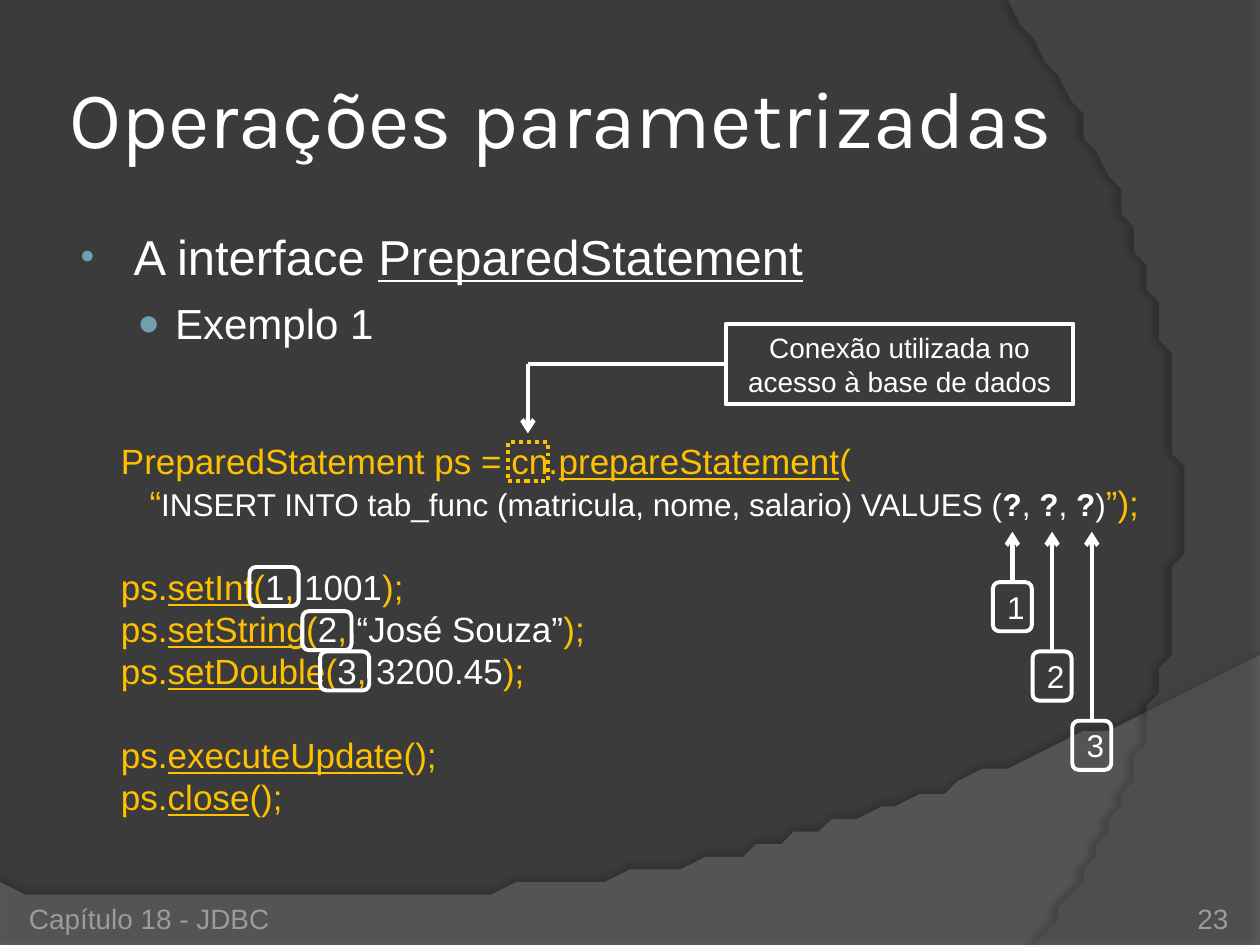
from collections import namedtuple

from lxml.etree import SubElement
from pptx import Presentation
from pptx.dml.color import RGBColor
from pptx.enum.dml import MSO_LINE_DASH_STYLE as DASH
from pptx.enum.shapes import MSO_CONNECTOR_TYPE as CONNECTOR, MSO_SHAPE as SHAPE
from pptx.enum.text import MSO_ANCHOR as ANCHOR, MSO_AUTO_SIZE as AUTO_SIZE, PP_ALIGN as ALIGN
from pptx.oxml.ns import qn
from pptx.util import Inches, Pt

WHITE = RGBColor(0xFF, 0xFF, 0xFF)
AMBER = RGBColor(0xFF, 0xC0, 0x00)
GRAY = RGBColor(0x9D, 0x9B, 0x9A)
BLUE = RGBColor(0x6E, 0xA0, 0xB0)
BACKGROUND = RGBColor(0x3B, 0x3B, 0x3B)
WAVE = RGBColor(0x7F, 0x7F, 0x7F)
ARC = RGBColor(0x5E, 0x5E, 0x5E)
BLACK = RGBColor(0, 0, 0)

COLUMNS, ROWS = 100, 75
CELL = Inches(0.1)
Box = namedtuple("Box", "left top width height")
Run = namedtuple("Run", "text color size underline bold", defaults=(AMBER, 20, False, False))


def cells(*counts):
    """Turn counts of grid cells into lengths."""
    return [round(count * CELL) for count in counts]


def place(shape, box):
    """Put a shape on its grid box."""
    shape.left, shape.top, shape.width, shape.height = cells(*box)


def style(font, size, color, name="Arial"):
    """Set the size, colour and typeface of a font."""
    font.size, font.name, font.color.rgb = Pt(size), name, color


def write(paragraph, runs):
    """Add formatted runs to a paragraph."""
    for item in runs:
        run = paragraph.add_run()
        run.text = item.text
        style(run.font, item.size, item.color)
        run.font.underline, run.font.bold = item.underline, item.bold


def set_indent(paragraph, margin, indent):
    """Set the left margin and first-line indent in inches."""
    properties = paragraph._p.get_or_add_pPr()
    properties.set("marL", str(Inches(margin)))
    properties.set("indent", str(Inches(indent)))
    return properties


def set_bullet(paragraph, character, percent, margin, indent):
    """Give a paragraph a coloured bullet with a hanging indent."""
    properties = set_indent(paragraph, margin, indent)
    color = SubElement(properties, qn("a:buClr"))
    SubElement(color, qn("a:srgbClr"), val=str(BLUE))
    SubElement(properties, qn("a:buSzPct"), val=str(percent * 1000))
    SubElement(properties, qn("a:buFont"), typeface="Arial")
    SubElement(properties, qn("a:buChar"), char=character)


def bezier(start, first, second, end, steps=60):
    """Return points along a cubic curve, after its start."""
    points = []
    for step in range(1, steps + 1):
        t = step / steps
        weights = ((1 - t) ** 3, 3 * t * (1 - t) ** 2, 3 * t * t * (1 - t), t ** 3)
        points.append(tuple(
            sum(weight * value for weight, value in zip(weights, values))
            for values in zip(start, first, second, end)))
    return points


def add_backdrop(slide, points, color, opacity, shadow_opacity, distance, angle):
    """Draw a translucent shape with a soft shadow behind the text."""
    builder = slide.shapes.build_freeform(*points[0], scale=CELL)
    builder.add_line_segments(points[1:])
    shape = builder.convert_to_shape()
    shape.line.fill.background()
    shape.fill.solid()
    shape.fill.fore_color.rgb = color
    fill_color = shape._element.spPr.find(qn("a:solidFill")).find(qn("a:srgbClr"))
    SubElement(fill_color, qn("a:alpha"), val=str(opacity * 1000))
    effects = SubElement(shape._element.spPr, qn("a:effectLst"))
    shadow = SubElement(effects, qn("a:outerShdw"), blurRad=str(Pt(4)),
                        dist=str(Pt(distance)), dir=str(angle * 60000))
    shadow_color = SubElement(shadow, qn("a:srgbClr"), val=str(BLACK))
    SubElement(shadow_color, qn("a:alpha"), val=str(shadow_opacity * 1000))
    return shape


def add_background(slide):
    """Fill the slide and lay the wave and the arc at the back."""
    slide.background.fill.solid()
    slide.background.fill.fore_color.rgb = BACKGROUND
    wave = [(0, 70.5), (0, ROWS), (COLUMNS, ROWS), (COLUMNS, 52)]
    wave += bezier(wave[-1], (55.9, 72.9), (39.1, 71.9), wave[0])
    arc = [(COLUMNS, 0.2), (COLUMNS, ROWS), (82.1, ROWS)]
    arc += bezier(arc[-1], (93.5, 61.9), (101.8, 30), (80, 0))
    backdrops = (add_backdrop(slide, wave, WAVE, 45, 35, 3.5, 270),
                 add_backdrop(slide, arc, ARC, 40, 45, 4, 180))
    for index, shape in enumerate(backdrops, start=2):
        slide.shapes._spTree.insert(index, shape._element)


def fill_title(placeholder, box, text):
    """Write the slide title."""
    place(placeholder, box)
    frame = placeholder.text_frame
    frame.text, frame.auto_size, frame.vertical_anchor = text, AUTO_SIZE.NONE, ANCHOR.MIDDLE
    frame.margin_left = frame.margin_right = Inches(0.05)
    frame.paragraphs[0].alignment = ALIGN.LEFT
    style(frame.paragraphs[0].runs[0].font, 46, WHITE, "Karla")


def fill_topics(placeholder, box):
    """Write the two-level list."""
    place(placeholder, box)
    frame = placeholder.text_frame
    frame.auto_size = AUTO_SIZE.NONE
    topic, example = frame.paragraphs[0], frame.add_paragraph()
    write(topic, [Run("A interface ", WHITE, 28), Run("PreparedStatement", WHITE, 28, True)])
    write(example, [Run("Exemplo 1", WHITE, 24)])
    example.level = 1
    topic.space_before, example.space_before = Pt(3), Pt(6.5)
    set_bullet(topic, "•", 80, 0.46, -0.42)
    set_bullet(example, "●", 90, 0.79, -0.3)


def call(method, arguments=()):
    """Return the runs of one call on the statement."""
    return [Run("ps."), Run(method, underline=True), Run("(" if arguments else "();"), *arguments]


def setter(method, index, value):
    """Return the runs of a call that sets one parameter."""
    return call(method, [Run(index, WHITE), Run(","), Run(f" {value}", WHITE), Run(");")])


def fill_code(placeholder, box):
    """Write the code listing in three blocks."""
    place(placeholder, box)
    mark = Run("?", WHITE, 18, bold=True)
    comma = Run(", ", WHITE, 18)
    query = [Run("“"), Run("INSERT INTO tab_func (matricula, nome, salario) VALUES (", WHITE, 18),
             mark, comma, mark, comma, mark, Run(")", WHITE, 18), Run("”);")]
    blocks = [
        [[Run("PreparedStatement ps = cn."), Run("prepareStatement", underline=True), Run("(")],
         query],
        [setter("setInt", "1", "1001"), setter("setString", "2", "“José Souza”"),
         setter("setDouble", "3", "3200.45")],
        [call("executeUpdate"), call("close")],
    ]
    frame = placeholder.text_frame
    frame.auto_size = AUTO_SIZE.NONE
    lines = [(number and not row, runs) for number, block in enumerate(blocks)
             for row, runs in enumerate(block)]
    for number, (opens_block, runs) in enumerate(lines):
        paragraph = frame.add_paragraph() if number else frame.paragraphs[0]
        write(paragraph, runs)
        paragraph.level = 1
        paragraph.alignment = ALIGN.RIGHT if runs is query else ALIGN.LEFT
        paragraph.line_spacing = Pt(24)
        paragraph.space_before = Pt(24 if opens_block else 0)
        SubElement(set_indent(paragraph, 0, 0), qn("a:buNone"))


def add_frame(slide, box, kind=SHAPE.ROUNDED_RECTANGLE, color=WHITE, text="", size=18):
    """Outline a box, with centred text if there is any."""
    shape = slide.shapes.add_shape(kind, *cells(*box))
    shape.shadow.inherit = False
    shape.fill.background()
    shape.line.color.rgb, shape.line.width = color, Pt(2.25)
    if text:
        shape.text_frame.text = text
        shape.text_frame.word_wrap = True
        shape.text_frame.vertical_anchor = ANCHOR.MIDDLE
        shape.text_frame.paragraphs[0].alignment = ALIGN.CENTER
        style(shape.text_frame.paragraphs[0].runs[0].font, size, WHITE)
    return shape


def add_line(slide, start, end, arrow=False):
    """Draw a straight line, with an arrowhead at its end if asked."""
    line = slide.shapes.add_connector(CONNECTOR.STRAIGHT, *cells(*start, *end))
    line.line.color.rgb, line.line.width = WHITE, Pt(2.5)
    if arrow:
        SubElement(line.line._get_or_add_ln(), qn("a:tailEnd"), type="arrow")
    SubElement(line._element.spPr, qn("a:effectLst"))
    return line


def add_connection_note(slide, note, target):
    """Explain the connection variable and point to it."""
    add_frame(slide, target, SHAPE.RECTANGLE, AMBER).line.dash_style = DASH.ROUND_DOT
    label = add_frame(slide, note, SHAPE.RECTANGLE,
                      text="Conexão utilizada no acesso à base de dados", size=16)
    corner = (target.left + target.width / 2, note.top + note.height / 2)
    add_line(slide, corner, (corner[0], target.top - 0.7), arrow=True)
    add_line(slide, (note.left, corner[1]), corner).begin_connect(label, 1)


def add_parameter_marks(slide, first, step, arrow_top):
    """Number the query parameters on a falling diagonal."""
    for index in range(3):
        box = first._replace(left=first.left + index * step[0], top=first.top + index * step[1])
        label = add_frame(slide, box, text=str(index + 1))
        middle = box.left + box.width / 2
        line = add_line(slide, (middle, box.top), (middle, arrow_top), arrow=True)
        line.begin_connect(label, 0)


def add_footer(slide, box, text, alignment):
    """Write one footer text on the bottom edge of its box."""
    frame = slide.shapes.add_textbox(*cells(*box)).text_frame
    frame.text, frame.word_wrap, frame.vertical_anchor = text, True, ANCHOR.BOTTOM
    frame.margin_left = frame.margin_right = frame.margin_top = frame.margin_bottom = 0
    frame.paragraphs[0].alignment = alignment
    style(frame.paragraphs[0].runs[0].font, 16, GRAY)


def main():
    """Build the slide and save it."""
    presentation = Presentation()
    presentation.slide_width, presentation.slide_height = cells(COLUMNS, ROWS)
    slide = presentation.slides.add_slide(presentation.slide_layouts[3])
    title, topics, code = slide.placeholders
    add_background(slide)
    fill_title(title, Box(5, 3, 81.7, 12.5), "Operações parametrizadas")
    fill_topics(topics, Box(5, 17.5, 81.7, 11.4))
    fill_code(code, Box(8.6, 34.4, 82.8, 32))
    add_footer(slide, Box(2.3, 70.2, 31.7, 4), "Capítulo 18 - JDBC", ALIGN.LEFT)
    add_footer(slide, Box(89.2, 70.2, 8.3, 4), "23", ALIGN.RIGHT)
    add_connection_note(slide, Box(57.6, 25.7, 27.6, 6.4), Box(40.3, 35.1, 3.2, 3.1))
    for left, top in ((19.8, 45), (24, 48.5), (25.4, 51.7)):
        add_frame(slide, Box(left, top, 3.9, 3.1))
    add_parameter_marks(slide, Box(78.8, 46.2, 3.1, 3.9), (3.15, 5.5), 42.2)
    presentation.save("out.pptx")


if __name__ == "__main__":
    main()
